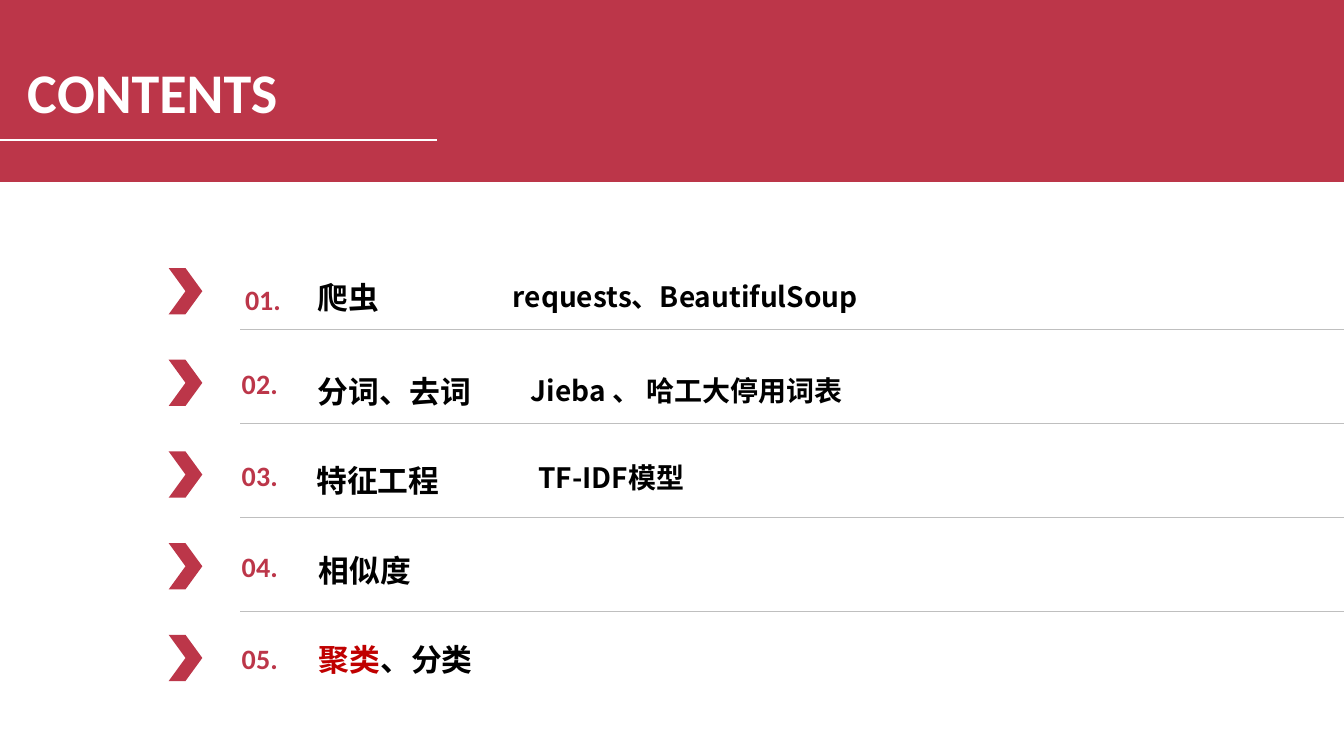
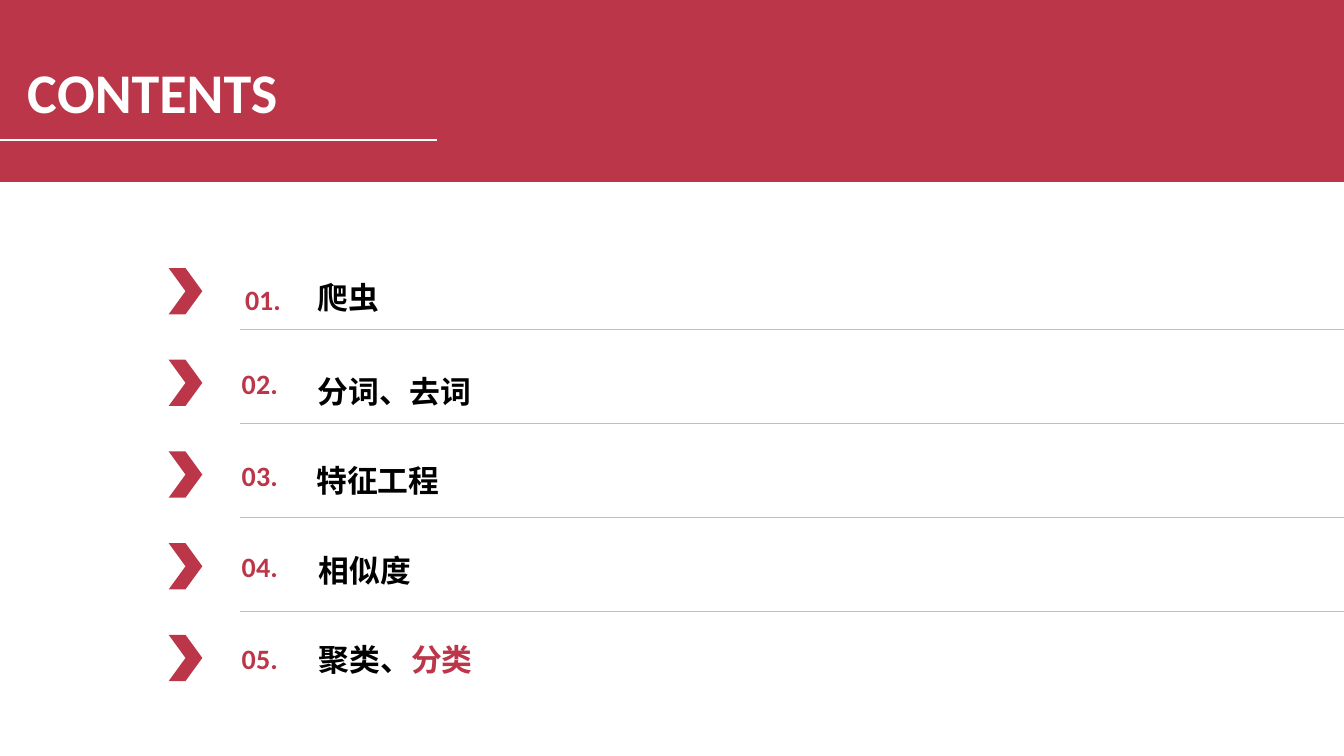
from dataclasses import dataclass

from lxml import etree
from pptx import Presentation
from pptx.dml.color import RGBColor
from pptx.enum.shapes import MSO_CONNECTOR, MSO_SHAPE
from pptx.enum.text import MSO_ANCHOR, PP_ALIGN
from pptx.oxml.ns import qn
from pptx.util import Pt

RECTANGLE, CHEVRON = MSO_SHAPE.RECTANGLE, MSO_SHAPE.CHEVRON
STRAIGHT = MSO_CONNECTOR.STRAIGHT
LEFT, CENTER = PP_ALIGN.LEFT, PP_ALIGN.CENTER
TOP, MIDDLE = MSO_ANCHOR.TOP, MSO_ANCHOR.MIDDLE

WIDTH, HEIGHT = 960, 540
ROW_TOP, ROW_STEP = 188, 65.5
DIVIDER_TOP, DIVIDER_STEP = 235, 67.2


@dataclass(frozen=True)
class Theme:
    brand: str = "BC3649"
    accent: str = "C00000"
    ink: str = "000000"
    paper: str = "FFFFFF"
    divider: str = "BFBFBF"
    latin: str = "Calibri"
    chinese: str = "Noto Sans CJK SC"
    title_size: int = 40
    heading_size: int = 22
    body_size: int = 20
    hair_size: int = 1


THEME = Theme()


def hair_spaced(text, color):
    """Spans that set the first letter off by a hair space."""
    return [(text[0], color), (" ", color, THEME.hair_size), (text[1:], color)]


def write_text(frame, spans, *, size, font, align=LEFT, anchor=TOP):
    """Fill a frame with one bold paragraph of (text, colour[, size]) spans."""
    frame.word_wrap = True
    frame.vertical_anchor = anchor
    para = frame.paragraphs[0]
    para.alignment = align
    for text, color, *own_size in spans:
        span = para.add_run()
        span.text = text
        span.font.size = Pt(own_size[0] if own_size else size)
        span.font.bold = True
        span.font.name = font
        span.font.color.rgb = RGBColor.from_string(color)
        east_asian = etree.SubElement(span.font._element, qn("a:ea"))
        east_asian.set("typeface", font)


class ContentsDeck:
    def __init__(self, theme):
        self.theme = theme
        self.deck = Presentation()
        self.deck.slide_width, self.deck.slide_height = Pt(WIDTH), Pt(HEIGHT)
        self.page = None

    def add_page(self):
        self.page = self.deck.slides.add_slide(self.deck.slide_layouts[6])

    def shape(self, kind, left, top, width, height, color):
        shape = self.page.shapes.add_shape(
            kind, Pt(left), Pt(top), Pt(width), Pt(height))
        shape.shadow.inherit = False
        shape.fill.solid()
        shape.fill.fore_color.rgb = RGBColor.from_string(color)
        shape.line.fill.background()

    def rule(self, left, right, top, color, weight):
        line = self.page.shapes.add_connector(
            STRAIGHT, Pt(left), Pt(top), Pt(right), Pt(top))
        line.line.color.rgb = RGBColor.from_string(color)
        line.line.width = Pt(weight)
        etree.SubElement(line._element.spPr, qn("a:effectLst"))

    def text(self, area, spans, **style):
        box = self.page.shapes.add_textbox(*(Pt(length) for length in area))
        write_text(box.text_frame, spans, **style)

    def header(self, title):
        theme = self.theme
        self.shape(RECTANGLE, 0, 0, WIDTH, 130, theme.brand)
        self.text((12.3, 37.5, 265, 72), hair_spaced(title, theme.paper),
                  size=theme.title_size, font=theme.latin)
        self.rule(0, 312.5, 100, theme.paper, 1.5)

    def marker(self, index):
        """Chevron and number at the start of a row."""
        theme = self.theme
        top = ROW_TOP + index * ROW_STEP
        self.shape(CHEVRON, 120.5, top + 3.5, 24, 33, theme.brand)
        number = f"{index + 1:02}."
        # The first number is unspaced, a little lower and further right
        if index == 0:
            right, down, spans = 2.3, 5.5, [(number, theme.brand)]
        else:
            right, down, spans = 0, 0, hair_spaced(number, theme.brand)
        self.text((161.8, top + down, 47.5, 40.3)
                  if not right else (161.8 + right, top + down, 47.5, 40.3),
                  spans, size=theme.body_size, font=theme.latin,
                  align=CENTER, anchor=MIDDLE)

    def heading(self, area, spans):
        self.text(area, spans, size=self.theme.heading_size,
                  font=self.theme.chinese, align=CENTER, anchor=MIDDLE)

    def detail(self, area, text):
        self.text(area, [(text, self.theme.ink)], size=self.theme.body_size,
                  font=self.theme.chinese, anchor=MIDDLE)

    def contents(self, topics, details=()):
        self.add_page()
        self.header("CONTENTS")
        for index, (area, spans) in enumerate(topics):
            self.marker(index)
            self.heading(area, spans)
            if index < len(topics) - 1:
                self.rule(171.8, WIDTH, DIVIDER_TOP + index * DIVIDER_STEP,
                          self.theme.divider, 0.25)
        for area, text in details:
            self.detail(area, text)


# Topics on both pages: heading area and spans
TOPICS = [
    ((172, 177.5, 154, 70), [("爬虫", THEME.ink)]),
    ((206.5, 253.5, 150.5, 52), [("分词、去词", THEME.ink)]),
    ((175, 317.5, 190, 50.5), [("特征工程", THEME.ink)]),
    ((169.5, 384, 182, 47), [("相似度", THEME.ink)]),
]
LAST_AREA = (197.5, 446.5, 170.5, 49)

# Tools, shown on the first page only
TOOLS = [
    ((359.3, 194.5, 340.5, 34.5), "requests、BeautifulSoup"),
    ((372, 254, 340.5, 49), "Jieba 、 哈工大停用词表"),
    ((377.5, 323.5, 340.5, 34.5), "TF-IDF模型"),
]


def main():
    slides = ContentsDeck(THEME)
    # Clustering highlighted
    clustering = [("聚类", THEME.accent), ("、分类", THEME.ink)]
    slides.contents(TOPICS + [(LAST_AREA, clustering)], TOOLS)
    # Classification highlighted
    classification = [("聚类、", THEME.ink), ("分类", THEME.brand)]
    slides.contents(TOPICS + [(LAST_AREA, classification)])
    slides.deck.save("out.pptx")


if __name__ == "__main__":
    main()
